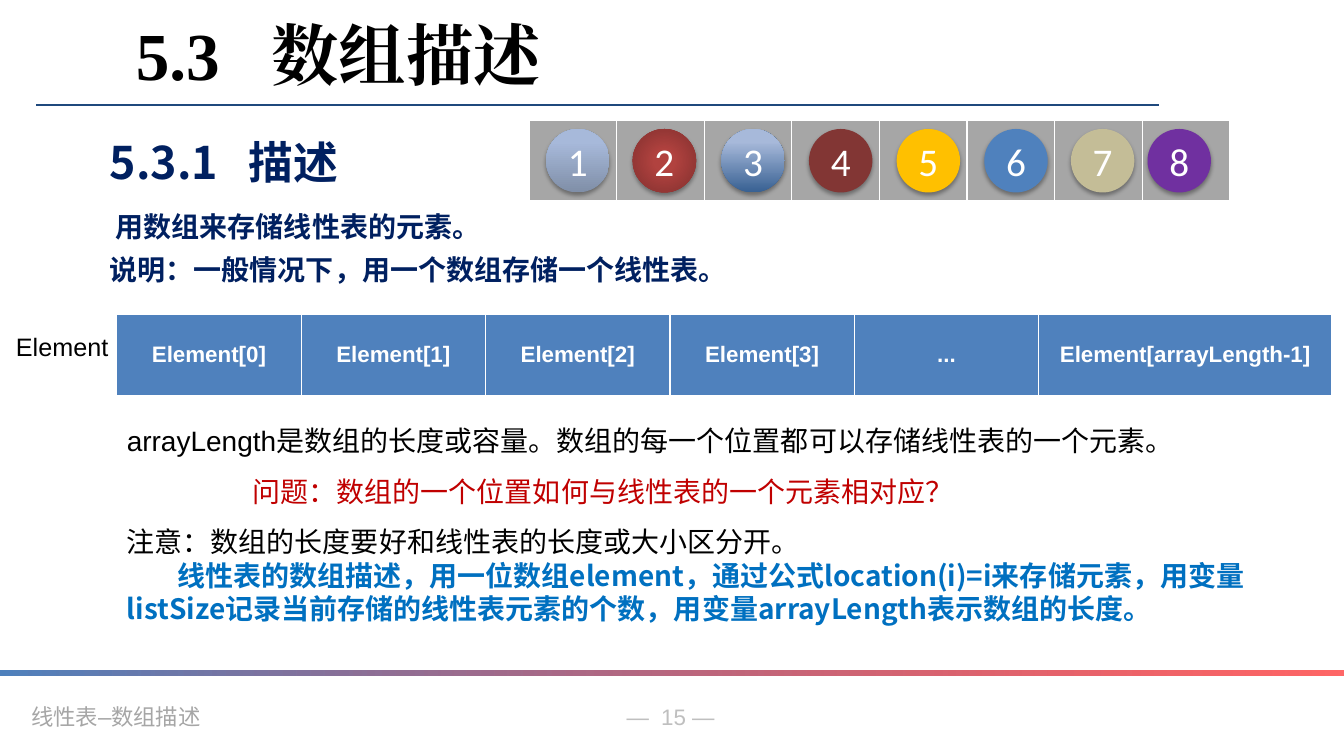
"""Build the slide on describing a linear list with an array."""
from lxml import etree
from pptx import Presentation, util as u
from pptx.dml.color import RGBColor
from pptx.enum import shapes as s, text as t
from pptx.oxml import parse_xml
from pptx.oxml.ns import nsdecls, qn

INK = {
    "black": "000000", "white": "FFFFFF", "navy": "002060", "line": "1F497D",
    "blue": "4F81BD", "sky": "0070C0", "red": "C00000", "grey": "A6A6A6",
    "pale": "BFBFBF", "brown": "823634", "gold": "FFC000", "tan": "C4BD97",
    "plum": "7030A0",
}
SANS = "Noto Sans CJK SC"
UP = '<a:lin ang="16200000" scaled="0"/>'
RIGHT = '<a:lin ang="0" scaled="0"/>'
ROUND = ('<a:path path="circle"><a:fillToRect l="50000" t="50000" '
         'r="50000" b="50000"/></a:path>')


def style(para, size, font, ink, bold=False):
    """Format every run of a paragraph."""
    for run in para.runs:
        run.font.size, run.font.name, run.font.bold = u.Pt(size), font, bold
        run.font.color.rgb = RGBColor.from_string(INK[ink])
        east = etree.SubElement(run.font._element, qn("a:ea"))
        east.set("typeface", font)


def blend(shape, stops, way):
    """Fill a shape with a gradient of (place, colour, opacity) stops."""
    shape.fill.solid()
    marks = "".join(
        f'<a:gs pos="{place * 1000}"><a:srgbClr val="{ink}">'
        f'<a:alpha val="{alpha * 1000}"/></a:srgbClr></a:gs>'
        for place, ink, alpha in stops)
    old = shape._element.spPr.find(qn("a:solidFill"))
    old.getparent().replace(old, parse_xml(
        f'<a:gradFill {nsdecls("a")} rotWithShape="1">'
        f'<a:gsLst>{marks}</a:gsLst>{way}</a:gradFill>'))


deck = Presentation()
deck.slide_width, deck.slide_height = u.Inches(13.34), u.Inches(7.5)
slide = deck.slides.add_slide(deck.slide_layouts[6])
items = slide.shapes

rule = items.add_connector(s.MSO_CONNECTOR.STRAIGHT, u.Inches(0.36),
                           u.Inches(1.04), u.Inches(11.5), u.Inches(1.04))
rule.line.color.rgb = RGBColor.from_string(INK["line"])
rule.line.width = u.Pt(1)
etree.SubElement(rule._element.spPr, qn("a:effectLst"))

bar = items.add_shape(s.MSO_SHAPE.RECTANGLE, 0, u.Inches(6.65),
                      u.Inches(13.34), u.Inches(0.05))
bar.shadow.inherit = False
bar.line.fill.background()
blend(bar, [(0, INK["blue"], 100), (100, "FF0000", 60)], RIGHT)

labels = [
    ("—  15 —", 6.12, 6.93, 1.18, 0.37, 16, "Arial", "pale"),
    ("线性表—数组描述", 0.21, 6.93, 3.02, 0.37, 16, "DejaVu Sans Mono", "grey"),
    ("Element", 0.06, 3.24, 1.34, 0.4, 18, "Arial", "black"),
]
for words, left, top, width, height, size, font, ink in labels:
    box = items.add_textbox(*map(u.Inches, (left, top, width, height)))
    box.text_frame.word_wrap = True
    box.text_frame.text = words
    style(box.text_frame.paragraphs[0], size, font, ink)

grids = [
    (5.25, 1.19, [0.87] * 8, [""] * 8, "grey"),
    (1.16, 3.12, [1.83] * 5 + [2.91],
     [f"Element[{i}]" for i in range(4)] + ["...", "Element[arrayLength-1]"],
     "blue"),
]
for left, top, widths, names, ink in grids:
    grid = items.add_table(1, len(widths), u.Inches(left), u.Inches(top),
                           u.Inches(sum(widths)), u.Inches(0.8)).table
    for col, width, cell, name in zip(grid.columns, widths,
                                      grid.rows[0].cells, names):
        col.width = u.Inches(width)
        cell.fill.solid()
        cell.fill.fore_color.rgb = RGBColor.from_string(INK[ink])
        cell.vertical_anchor = t.MSO_ANCHOR.MIDDLE
        cell.text_frame.text = name
        para = cell.text_frame.paragraphs[0]
        para.alignment = t.PP_ALIGN.CENTER
        style(para, 16, "Arial", "white", True)

head = items.add_textbox(u.Inches(1.25), u.Inches(0.08),
                         u.Inches(4.56), u.Inches(0.91)).text_frame
head.word_wrap = True
head.vertical_anchor = t.MSO_ANCHOR.MIDDLE
head.text = "5.3\t数组描述"
style(head.paragraphs[0], 48, "Times New Roman", "black", True)

body = items.add_textbox(u.Inches(0.76), u.Inches(1.23),
                         u.Inches(12.31), u.Inches(5.03)).text_frame
body.word_wrap = True
body.margin_left = u.Inches(0.33)
body.text = "5.3.1\t描述\n用数组来存储线性表的元素。\n说明：一般情况下，用一个数组存储一个线性表。"
for para, size, gap in zip(body.paragraphs, (32, 20, 20), (6, 13, 4)):
    para.line_spacing = 1.1
    para.space_before = u.Pt(gap)
    style(para, size, SANS, "navy", True)
body.paragraphs[1]._p.get_or_add_pPr().set("marL", str(u.Inches(0.06)))

for para, stop in ((head.paragraphs[0], 1.35), (body.paragraphs[0], 1.38)):
    tabs = etree.SubElement(para._p.get_or_add_pPr(), qn("a:tabLst"))
    etree.SubElement(tabs, qn("a:tab"), pos=str(u.Inches(stop)), algn="l")

notes = [
    ("arrayLength是数组的长度或容量。数组的每一个位置都可以存储线性表的一个元素。",
     "Arial", "black", 1.5, 0),
    ("问题：数组的一个位置如何与线性表的一个元素相对应？", "Arial", "red", 1.5, 1.25),
    ("注意：数组的长度要好和线性表的长度或大小区分开。", "Arial", "black", 1.5, 0),
    ("线性表的数组描述，用一位数组element，通过公式location(i)=i来存储元素，"
     "用变量listSize记录当前存储的线性表元素的个数，用变量arrayLength表示数组的长度。",
     SANS, "sky", 1, 0.5),
]
text = items.add_textbox(u.Inches(1.16), u.Inches(3.99),
                         u.Inches(12.05), u.Inches(2.29)).text_frame
text.word_wrap = True
text.text = "\n".join(note[0] for note in notes)
for para, (_, font, ink, space, dent) in zip(text.paragraphs, notes):
    para.line_spacing = space
    para._p.get_or_add_pPr().set("indent", str(u.Inches(dent)))
    para._p.pPr.set("marL", "0")
    style(para, 20, font, ink, font == SANS)

light = [(80, "A7B9DA", 100), (100, "A6BADC", 100)]
balls = [
    (5.42, [(0, "808FA8", 100)] + light, UP),
    (6.28, [(0, "B1423F", 100), (23, "B1423F", 100), (69, "953735", 100),
            (97, "8B3431", 100)], ROUND),
    (7.16, [(0, "376092", 100)] + light, UP),
    (8.03, "brown", None), (8.9, "gold", None), (9.77, "blue", None),
    (10.63, "tan", None), (11.39, "plum", None),
]
for num, (left, paint, way) in enumerate(balls, 1):
    ball = items.add_shape(s.MSO_SHAPE.OVAL, u.Inches(left), u.Inches(1.28),
                           u.Inches(0.63), u.Inches(0.63))
    if way:
        blend(ball, paint, way)
    else:
        ball.fill.solid()
        ball.fill.fore_color.rgb = RGBColor.from_string(INK[paint])
    ball.line.fill.background()
    ball.shadow.inherit = False
    ball._element.spPr.find(qn("a:effectLst")).append(parse_xml(
        f'<a:outerShdw {nsdecls("a")} blurRad="{u.Pt(3.1)}" '
        f'dist="{u.Pt(1.8)}" dir="5400000" rotWithShape="0">'
        '<a:srgbClr val="000000"><a:alpha val="35000"/></a:srgbClr>'
        '</a:outerShdw>'))
    frame = ball.text_frame
    frame.margin_left = frame.margin_right = 0
    frame.vertical_anchor = t.MSO_ANCHOR.MIDDLE
    frame.text = str(num)
    frame.paragraphs[0].alignment = t.PP_ALIGN.CENTER
    style(frame.paragraphs[0], 28, "Calibri", "white")

deck.save("out.pptx")
